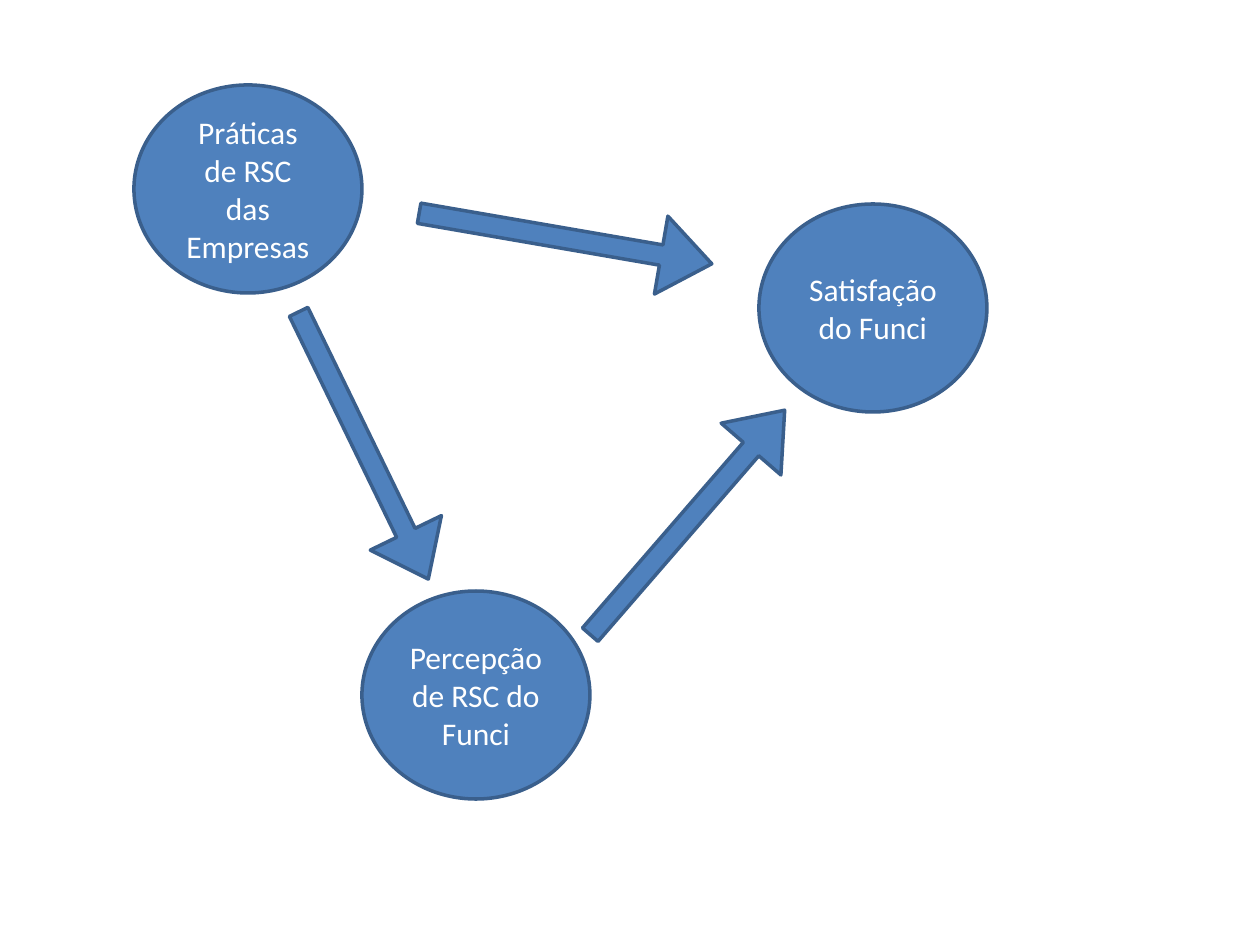
from pptx import Presentation
from pptx import util as u
from pptx.dml.color import RGBColor
from pptx.enum import shapes, text

# Content: left, top in pixels
CIRCLES = [
    ("Práticas de RSC das Empresas", 134, 85),
    ("Satisfação do Funci", 759, 204),
    ("Percepção de RSC do Funci", 362, 591),
]
CIRCLE_SIZE = (228, 208)

# Left, top in pixels before turning, then rotation in degrees
ARROWS = [(417, 199, 9.8), (215, 406, 64.1), (539, 483, 310.9)]
ARROW_SIZE = (297, 79)
ARROW_ADJUSTMENTS = (0.26, 0.65)

THEME = {
    "fill": RGBColor.from_string("4F81BD"),
    "line": RGBColor.from_string("3A5F8C"),
    "text": RGBColor.from_string("FFFFFF"),
    "font": "Calibri",
    "size": u.Pt(18),
    "line_width": u.Pt(2),
}


def px(pixels):
    return u.Inches(pixels / 126)


def add_part(slide, kind, left, top, size):
    shape = slide.shapes.add_shape(kind, *map(px, (left, top, *size)))
    shape.shadow.inherit = False
    shape.fill.solid()
    shape.fill.fore_color.rgb = THEME["fill"]
    shape.line.color.rgb = THEME["line"]
    shape.line.width = THEME["line_width"]
    return shape


presentation = Presentation()
presentation.slide_width, presentation.slide_height = px(1260), px(945)
slide = presentation.slides.add_slide(presentation.slide_layouts[6])

# Concept circles
for label, left, top in CIRCLES:
    circle = add_part(slide, shapes.MSO_SHAPE.OVAL, left, top, CIRCLE_SIZE)
    frame = circle.text_frame
    frame.word_wrap = True
    frame.vertical_anchor = text.MSO_ANCHOR.MIDDLE
    paragraph = frame.paragraphs[0]
    paragraph.text = label
    paragraph.alignment = text.PP_ALIGN.CENTER
    paragraph.font.name = THEME["font"]
    paragraph.font.size = THEME["size"]
    paragraph.font.color.rgb = THEME["text"]

# Arrows between the circles
for left, top, rotation in ARROWS:
    arrow = add_part(slide, shapes.MSO_SHAPE.RIGHT_ARROW, left, top, ARROW_SIZE)
    arrow.rotation = rotation
    for index, value in enumerate(ARROW_ADJUSTMENTS):
        arrow.adjustments[index] = value

presentation.save("out.pptx")
